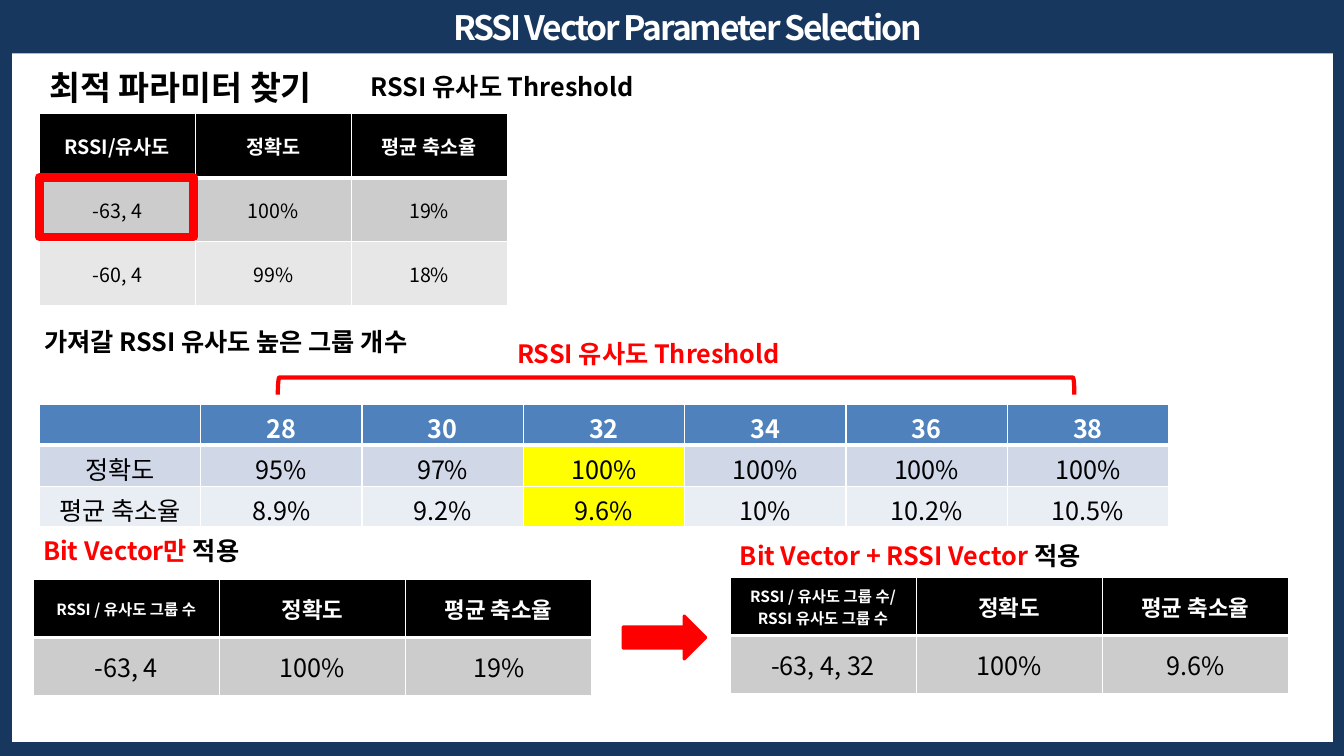
from lxml.etree import SubElement
from pptx import Presentation
from pptx.dml.color import RGBColor
from pptx.enum.shapes import MSO_SHAPE
from pptx.enum.text import MSO_ANCHOR, PP_ALIGN
from pptx.oxml.ns import qn
from pptx.util import Inches, Pt

FONT = "Noto Sans CJK KR"
NAVY = RGBColor(0x17, 0x37, 0x5E)
WHITE = RGBColor(0xFF, 0xFF, 0xFF)
BLACK = RGBColor(0x00, 0x00, 0x00)
RED = RGBColor(0xFF, 0x00, 0x00)
YELLOW = RGBColor(0xFF, 0xFF, 0x00)
BLUE = RGBColor(0x4F, 0x81, 0xBD)
PALE_BLUE = RGBColor(0xD0, 0xD8, 0xE8)
PALER_BLUE = RGBColor(0xE9, 0xED, 0xF4)
GRAY = RGBColor(0xCC, 0xCC, 0xCC)
LIGHT_GRAY = RGBColor(0xE7, 0xE7, 0xE7)


def style_paragraph(paragraph, size, color=None, bold=True):
    """Set one font for Latin and Korean text."""
    font = paragraph.font
    font.size, font.bold, font.name = Pt(size), bold, FONT
    if color is not None:
        font.color.rgb = color
    properties = paragraph._p.pPr.find(qn("a:defRPr"))
    SubElement(properties, qn("a:ea"), typeface=FONT)
    return properties


def add_label(slide, box, parts, size=18, fill=WHITE):
    """Add a one-line heading made of (text, color) parts."""
    label = slide.shapes.add_textbox(*map(Inches, box))
    if fill is not None:
        label.fill.solid()
        label.fill.fore_color.rgb = fill
    frame = label.text_frame
    frame.word_wrap = True
    frame.vertical_anchor = MSO_ANCHOR.MIDDLE
    paragraph = frame.paragraphs[0]
    for text, color in parts:
        run = paragraph.add_run()
        run.text = text
        run.font.color.rgb = color
    style_paragraph(paragraph, size)
    return paragraph


def add_figure(slide, kind, box, fill=None, line=None, width=1):
    figure = slide.shapes.add_shape(kind, *map(Inches, box))
    figure.shadow.inherit = False
    if fill is None:
        figure.fill.background()
    else:
        figure.fill.solid()
        figure.fill.fore_color.rgb = fill
    if line is None:
        figure.line.fill.background()
    else:
        figure.line.color.rgb = line
        figure.line.width = Pt(width)
    return figure


def set_borders(cell, bottom):
    """Draw white cell borders, placed ahead of the cell fill."""
    properties = cell._tc.get_or_add_tcPr()
    widths = {"a:lnL": 1, "a:lnR": 1, "a:lnT": 1, "a:lnB": bottom}
    for position, (side, width) in enumerate(widths.items()):
        border = SubElement(properties, qn(side), w=str(Pt(width)))
        solid = SubElement(border, qn("a:solidFill"))
        SubElement(solid, qn("a:srgbClr"), val=str(WHITE))
        properties.insert(position, border)


def add_data_table(slide, box, rows, fills, size, header_sizes,
                   anchor=MSO_ANCHOR.MIDDLE, highlight=None):
    """Add a table; fills holds one color per row, highlight a body column."""
    table = slide.shapes.add_table(
        len(rows), len(rows[0]), *map(Inches, box)).table
    for r, values in enumerate(rows):
        for c, value in enumerate(values):
            cell = table.cell(r, c)
            header = r == 0
            cell.text = value
            cell.vertical_anchor = anchor
            cell.fill.solid()
            cell.fill.fore_color.rgb = (
                YELLOW if c == highlight and not header else fills[r])
            set_borders(cell, 3 if header else 1)
            for paragraph in cell.text_frame.paragraphs:
                paragraph.alignment = PP_ALIGN.CENTER
                style_paragraph(paragraph, header_sizes[c] if header else size,
                                WHITE if header else BLACK, header)


def main():
    prs = Presentation()
    prs.slide_width, prs.slide_height = Inches(13.33), Inches(7.5)
    slide = prs.slides.add_slide(prs.slide_layouts[6])
    slide.background.fill.solid()
    slide.background.fill.fore_color.rgb = NAVY

    # Panel and title
    add_figure(slide, MSO_SHAPE.RECTANGLE, (0.12, 0.53, 13.1, 6.83), WHITE)
    title = add_label(slide, (4.3, 0.02, 5.04, 0.5),
                      [("RSSI Vector Parameter Selection", WHITE)], 24, None)
    title.alignment = PP_ALIGN.CENTER
    title._p.pPr.find(qn("a:defRPr")).set("spc", "-150")

    # Headings of the parameter search
    add_label(slide, (0.39, 0.61, 3.31, 0.5),
              [("최적 파라미터 찾기", BLACK)], 24)
    add_label(slide, (3.58, 0.66, 8.13, 0.4),
              [("RSSI 유사도 Threshold", BLACK)])

    # Group count table
    add_data_table(
        slide, (0.39, 4.01, 11.2, 1.22),
        [["", "28", "30", "32", "34", "36", "38"],
         ["정확도", "95%", "97%", "100%", "100%", "100%", "100%"],
         ["평균 축소율", "8.9%", "9.2%", "9.6%", "10%", "10.2%", "10.5%"]],
        [BLUE, PALE_BLUE, PALER_BLUE], 18, [18] * 7,
        MSO_ANCHOR.TOP, highlight=3)
    add_label(slide, (0.34, 3.19, 5.59, 0.4),
              [("가져갈 RSSI 유사도 높은 그룹 개수", BLACK)])

    # Comparison of the two methods
    methods = [
        ((0.33, 5.75), "RSSI / 유사도 그룹 수", "-63, 4", "19%"),
        ((7.24, 5.73), "RSSI / 유사도 그룹 수/\nRSSI 유사도 그룹 수",
         "-63, 4, 32", "9.6%"),
    ]
    for corner, parameters, setting, reduction in methods:
        add_data_table(slide, (*corner, 5.54, 1.15),
                       [[parameters, "정확도", "평균 축소율"],
                        [setting, "100%", reduction]],
                       [BLACK, GRAY], 18, [11, 16, 16])
    add_figure(slide, MSO_SHAPE.RIGHT_ARROW, (6.18, 6.11, 0.82, 0.43),
               RED, RED, 2)
    add_label(slide, (0.33, 5.26, 2.27, 0.4),
              [("Bit Vector만 ", RED), ("적용", BLACK)])
    add_label(slide, (7.24, 5.31, 4.04, 0.4),
              [("Bit Vector + RSSI Vector ", RED), ("적용", BLACK)])

    # Threshold table with the chosen setting framed
    add_data_table(slide, (0.39, 1.13, 4.64, 1.9),
                   [["RSSI/유사도", "정확도", "평균 축소율"],
                    ["-63, 4", "100%", "19%"],
                    ["-60, 4", "99%", "18%"]],
                   [BLACK, GRAY, LIGHT_GRAY], 14, [14] * 3)
    add_figure(slide, MSO_SHAPE.RECTANGLE, (0.39, 1.76, 1.53, 0.59),
               line=RED, width=6)

    # Bracket over the threshold columns
    add_label(slide, (5.03, 3.31, 3.05, 0.4),
              [("RSSI 유사도 Threshold", RED)])
    bracket = add_figure(slide, MSO_SHAPE.LEFT_BRACKET,
                         (6.62, -0.12, 0.17, 7.9), line=RED, width=3)
    bracket.rotation = 90

    prs.save("out.pptx")


if __name__ == "__main__":
    main()
